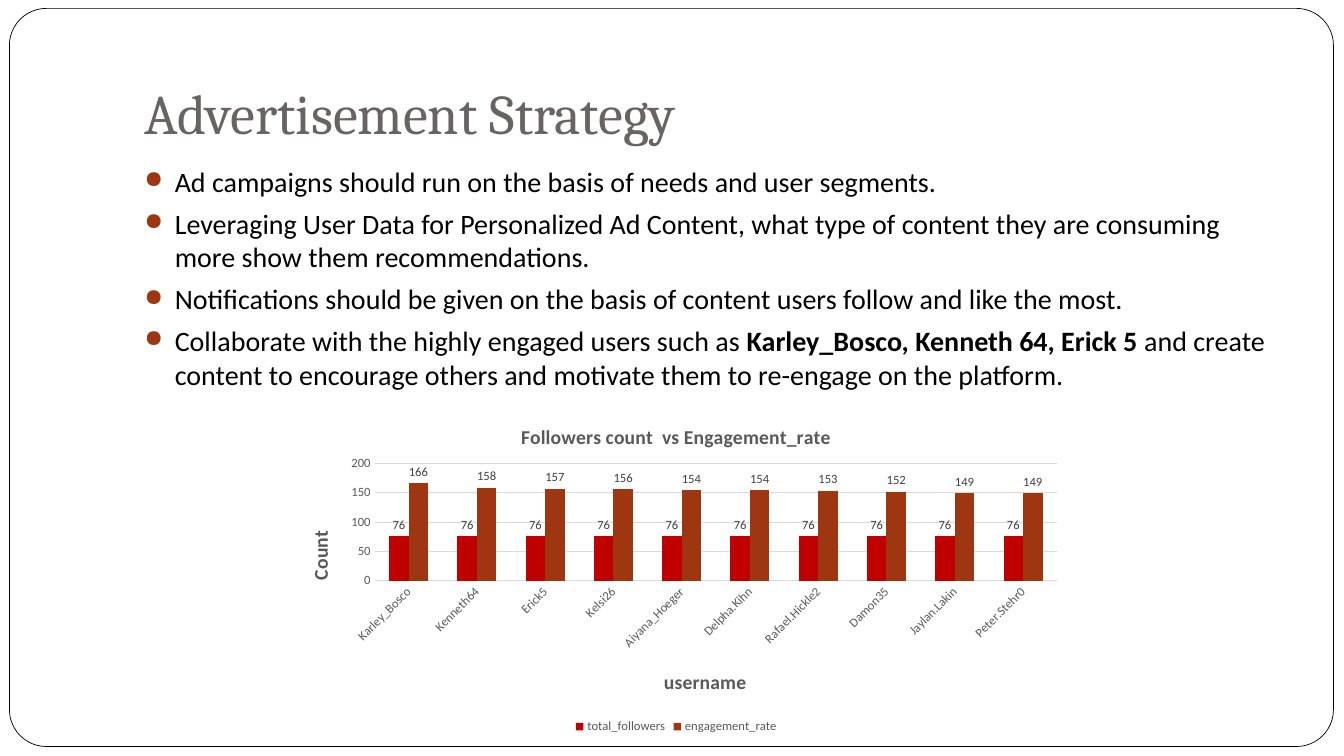
from dataclasses import dataclass

from lxml.etree import SubElement
from pptx import Presentation
from pptx.chart.data import CategoryChartData
from pptx.dml.color import RGBColor
from pptx.enum.chart import XL_CHART_TYPE as ChartType
from pptx.enum.chart import XL_LABEL_POSITION as LabelPosition
from pptx.enum.chart import XL_LEGEND_POSITION as LegendPosition
from pptx.enum.chart import XL_TICK_MARK as TickMark
from pptx.enum.shapes import MSO_SHAPE as Shape
from pptx.enum.text import MSO_ANCHOR as Anchor
from pptx.enum.text import MSO_AUTO_SIZE as AutoSize
from pptx.enum.text import PP_ALIGN as Align
from pptx.oxml.ns import qn
from pptx.util import Pt

EMU_PER_PX = 9525


@dataclass(frozen=True)
class Theme:
    heading_font: str = "Cambria"
    body_font: str = "Calibri"
    paper: str = "FFFFFF"
    ink: str = "000000"
    heading: str = "696464"
    accent: str = "9E3611"
    red: str = "C00000"
    axis: str = "595959"
    label: str = "404040"
    grid: str = "D9D9D9"
    title_size: int = 40
    body_size: int = 20
    chart_title_size: int = 14
    chart_size: int = 9


def px(*lengths):
    return [length * EMU_PER_PX for length in lengths]


def set_font(font, name, size, color, bold=False):
    font.name, font.size, font.bold = name, Pt(size), bold
    font.color.rgb = RGBColor.from_string(color)


def place(element, index, **fractions):
    """Give a chart part a fixed place, in fractions of the chart."""
    layout = element.find(qn("c:layout"))
    if layout is None:
        layout = SubElement(element, qn("c:layout"))
        element.insert(index, layout)
    manual = SubElement(layout, qn("c:manualLayout"))
    if "w" in fractions:
        SubElement(manual, qn("c:layoutTarget"), val="inner")
    for side in ("x", "y"):
        SubElement(manual, qn(f"c:{side}Mode"), val="edge")
    for name, value in fractions.items():
        SubElement(manual, qn(f"c:{name}"), val=str(value))


class SlideBuilder:
    def __init__(self, deck, theme):
        self.theme = theme
        self.page = deck.slides.add_slide(deck.slide_layouts[5])

    def frame(self, left, top, width, height):
        """Draw the rounded border behind everything else."""
        shapes = self.page.shapes
        border = shapes.add_shape(Shape.ROUNDED_RECTANGLE, *px(left, top, width, height))
        border.adjustments[0] = 0.05
        border.shadow.inherit = False
        border.fill.solid()
        border.fill.fore_color.rgb = RGBColor.from_string(self.theme.paper)
        border.line.color.rgb = RGBColor.from_string(self.theme.ink)
        border.line.width = Pt(0.5)
        shapes._spTree.insert(2, border._element)

    def title(self, text, left, top, width, height):
        box = self.page.shapes.title
        box.left, box.top, box.width, box.height = px(left, top, width, height)
        box.text = text
        frame = box.text_frame
        frame.auto_size = AutoSize.NONE
        frame.vertical_anchor = Anchor.BOTTOM
        frame.margin_bottom = px(10)[0]
        para = frame.paragraphs[0]
        para.alignment = Align.LEFT
        set_font(para.font, self.theme.heading_font, self.theme.title_size, self.theme.heading)

    def bullets(self, items, left, top, width, height):
        """Write one bullet per item; an item is a list of (text, bold) spans."""
        box = self.page.shapes.add_textbox(*px(left, top, width, height))
        frame = box.text_frame
        frame.word_wrap = True
        for index, spans in enumerate(items):
            para = frame.add_paragraph() if index else frame.paragraphs[0]
            para.space_before = Pt(5.8)
            set_font(para.font, self.theme.body_font, self.theme.body_size, self.theme.ink)
            for text, bold in spans:
                span = para.add_run()
                span.text = text
                if bold:
                    span.font.bold = True
            self.bullet_mark(para)

    def bullet_mark(self, para):
        props = para._p.get_or_add_pPr()
        indent = px(29)[0]
        props.set("marL", str(indent))
        props.set("indent", str(-indent))
        marks = [SubElement(props, qn("a:buClr")),
                 SubElement(props, qn("a:buSzPct"), val="85000"),
                 SubElement(props, qn("a:buChar"), char="●")]
        SubElement(marks[0], qn("a:srgbClr"), val=self.theme.accent)
        defaults = props.find(qn("a:defRPr"))
        for mark in marks:
            defaults.addprevious(mark)

    def chart_title(self, title, text, x, y):
        title.text_frame.text = text
        set_font(title.text_frame.paragraphs[0].font, self.theme.body_font,
                 self.theme.chart_title_size, self.theme.axis, bold=True)
        place(title._element, 1, x=x, y=y)

    def axis(self, axis, text, x, y):
        self.chart_title(axis.axis_title, text, x, y)
        axis.major_tick_mark = axis.minor_tick_mark = TickMark.NONE
        axis.format.line.fill.background()
        set_font(axis.tick_labels.font, self.theme.body_font,
                 self.theme.chart_size, self.theme.axis)

    def column_chart(self, heading, categories, series, left, top, width, height):
        """Draw clustered columns; series maps a name to (values, color)."""
        theme = self.theme
        data = CategoryChartData()
        data.categories = categories
        for name, (values, _) in series.items():
            data.add_series(name, values)
        chart = self.page.shapes.add_chart(
            ChartType.COLUMN_CLUSTERED, *px(left, top, width, height), data).chart
        set_font(chart.font, theme.body_font, theme.chart_size, theme.axis)
        chart.has_title = True
        self.chart_title(chart.chart_title, heading, 0.3, 0.05)
        place(chart._chartSpace.chart.plotArea, 0, x=0.12, y=0.18, w=0.86, h=0.35)

        self.axis(chart.category_axis, "username", 0.48, 0.78)
        labels = chart.category_axis._element.find(qn("c:txPr"))
        labels.find(qn("a:bodyPr")).set("rot", "-2700000")
        scale = chart.value_axis
        self.axis(scale, "Count", 0.03, 0.37)
        body = scale.axis_title.text_frame._txBody.find(qn("a:bodyPr"))
        body.set("rot", "-5400000")
        body.set("vert", "horz")
        scale.minimum_scale, scale.maximum_scale, scale.major_unit = 0, 200, 50
        grid = scale.major_gridlines.format.line
        grid.color.rgb = RGBColor.from_string(theme.grid)
        grid.width = Pt(0.75)

        chart.has_legend = True
        chart.legend.position = LegendPosition.BOTTOM
        chart.legend.include_in_layout = False
        set_font(chart.legend.font, theme.body_font, theme.chart_size, theme.axis)
        plot = chart.plots[0]
        plot.gap_width, plot.overlap, plot.vary_by_categories = 150, 0, False
        for columns in plot.series:
            columns.format.fill.solid()
            columns.format.fill.fore_color.rgb = RGBColor.from_string(series[columns.name][1])
            labels = columns.data_labels
            labels.show_value = True
            labels.position = LabelPosition.OUTSIDE_END
            set_font(labels.font, theme.body_font, theme.chart_size, theme.label)


def main():
    deck = Presentation()
    deck.slide_width, deck.slide_height = px(1280, 720)
    theme = Theme()
    slide = SlideBuilder(deck, theme)
    slide.frame(9, 8, 1261, 703)
    slide.title("Advertisement Strategy", 128, 29, 1088, 120)
    slide.bullets([
        [("Ad campaigns should run on the basis of needs and user segments.", False)],
        [("Leveraging User Data for Personalized Ad Content, what type of content "
          "they are consuming more show them recommendations.", False)],
        [("Notifications should be given on the basis of content users follow "
          "and like the most.", False)],
        [("Collaborate with the highly engaged users such as ", False),
         ("Karley_Bosco, Kenneth 64, Erick 5 ", True),
         ("and create content to encourage others and motivate them to re-engage "
          "on the platform.", False)],
    ], 128, 152, 1088, 253)
    users = ["Karley_Bosco", "Kenneth64", "Erick5", "Kelsi26", "Aiyana_Hoeger",
             "Delpha.Kihn", "Rafael.Hickle2", "Damon35", "Jaylan.Lakin", "Peter.Stehr0"]
    engagement = [166, 158, 157, 156, 154, 154, 153, 152, 149, 149]
    slide.column_chart("Followers count  vs Engagement_rate", users, {
        "total_followers": ([76] * len(users), theme.red),
        "engagement_rate": (engagement, theme.accent),
    }, 266, 384, 756, 319)
    deck.save("out.pptx")


if __name__ == "__main__":
    main()
